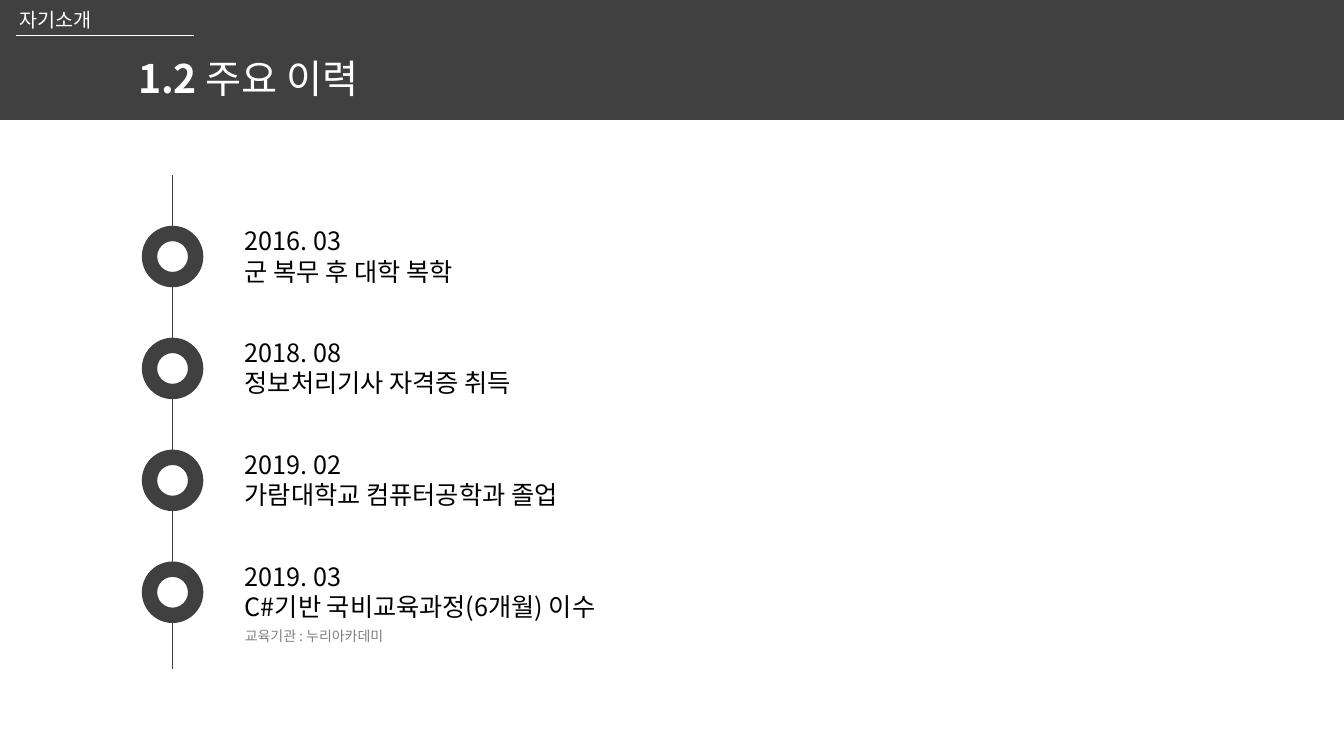
from dataclasses import dataclass

from lxml import etree
from pptx import Presentation
from pptx.dml.color import RGBColor
from pptx.enum.shapes import MSO_CONNECTOR, MSO_SHAPE
from pptx.enum.text import MSO_AUTO_SIZE
from pptx.oxml.ns import qn
from pptx.util import Cm, Pt

RECT, DONUT = MSO_SHAPE.RECTANGLE, MSO_SHAPE.DONUT
STRAIGHT = MSO_CONNECTOR.STRAIGHT
FIT_SHAPE = MSO_AUTO_SIZE.SHAPE_TO_FIT_TEXT


@dataclass(frozen=True)
class Theme:
    font: str = "Noto Sans CJK KR"
    dark: str = "404040"
    white: str = "FFFFFF"
    black: str = "000000"
    gray: str = "808080"
    title: int = 28
    body: int = 18
    section: int = 14
    note: int = 10


class Deck:
    """Draws on the current slide in the theme's style; lengths are in cm."""

    def __init__(self, s, theme):
        self.s = s
        self.theme = theme

    def shape(self, kind, x, y, w, h, color):
        sp = self.s.shapes.add_shape(kind, Cm(x), Cm(y), Cm(w), Cm(h))
        sp.shadow.inherit = False
        sp.fill.solid()
        sp.fill.fore_color.rgb = RGBColor.from_string(color)
        sp.line.fill.background()

    def line(self, x1, y1, x2, y2, color, width):
        cxn = self.s.shapes.add_connector(STRAIGHT, Cm(x1), Cm(y1), Cm(x2), Cm(y2))
        cxn.line.color.rgb = RGBColor.from_string(color)
        cxn.line.width = Pt(width)
        etree.SubElement(cxn._element.spPr, qn("a:effectLst"))

    def text(self, x, y, w, h, lines, size, color, wrap=True):
        """Each line is a list of (text, bold) runs."""
        tf = self.s.shapes.add_textbox(Cm(x), Cm(y), Cm(w), Cm(h)).text_frame
        tf.word_wrap = wrap
        tf.auto_size = FIT_SHAPE
        for i, runs in enumerate(lines):
            p = tf.add_paragraph() if i else tf.paragraphs[0]
            self.style(p.font, size, color)
            for text, bold in runs:
                r = p.add_run()
                r.text = text
                if bold:
                    r.font.bold = True

    def style(self, font, size, color):
        font.size = Pt(size)
        font.color.rgb = RGBColor.from_string(color)
        font.name = self.theme.font
        # Hangul takes the East Asian typeface
        ea = etree.SubElement(font._rPr, qn("a:ea"))
        ea.set("typeface", self.theme.font)


CAREER = [
    ("2016. 03", "군 복무 후 대학 복학"),
    ("2018. 08", "정보처리기사 자격증 취득"),
    ("2019. 02", "가람대학교 컴퓨터공학과 졸업"),
    ("2019. 03", "C#기반 국비교육과정(6개월) 이수"),
]
AXIS_X, FIRST_Y, PITCH, RING = 4.35, 5.69, 2.82, 1.55
TEXT_X = 5.92


def main():
    prs = Presentation()
    prs.slide_width, prs.slide_height = Cm(33.87), Cm(19.05)
    t = Theme()
    d = Deck(prs.slides.add_slide(prs.slide_layouts[6]), t)

    d.shape(RECT, 0, 0, 33.87, 3.02, t.dark)
    d.line(0.4, 0.9, 4.9, 0.9, t.white, 0.5)
    d.text(0.25, 0.07, 2.52, 0.85, [[("자기소개", False)]], t.section, t.white, wrap=False)
    d.text(3.23, 1.25, 9, 1.45, [[("1.2 ", True), ("주요 이력", False)]], t.title, t.white)

    for i, (date, event) in enumerate(CAREER):
        y = FIRST_Y + i * PITCH
        d.line(AXIS_X, y - PITCH + RING, AXIS_X, y, t.dark, 1)
        d.shape(DONUT, AXIS_X - RING / 2, y, RING, RING, t.dark)
        d.text(TEXT_X, y - 0.13, 14.96, 1.8,
               [[(date, False)], [(event, False)]], t.body, t.black)
    d.line(AXIS_X, y + RING, AXIS_X, 16.87, t.dark, 1)
    d.text(TEXT_X, 15.7, 4.45, 0.69, [[("교육기관 : 누리아카데미", False)]], t.note, t.gray)

    prs.save("out.pptx")


if __name__ == "__main__":
    main()
